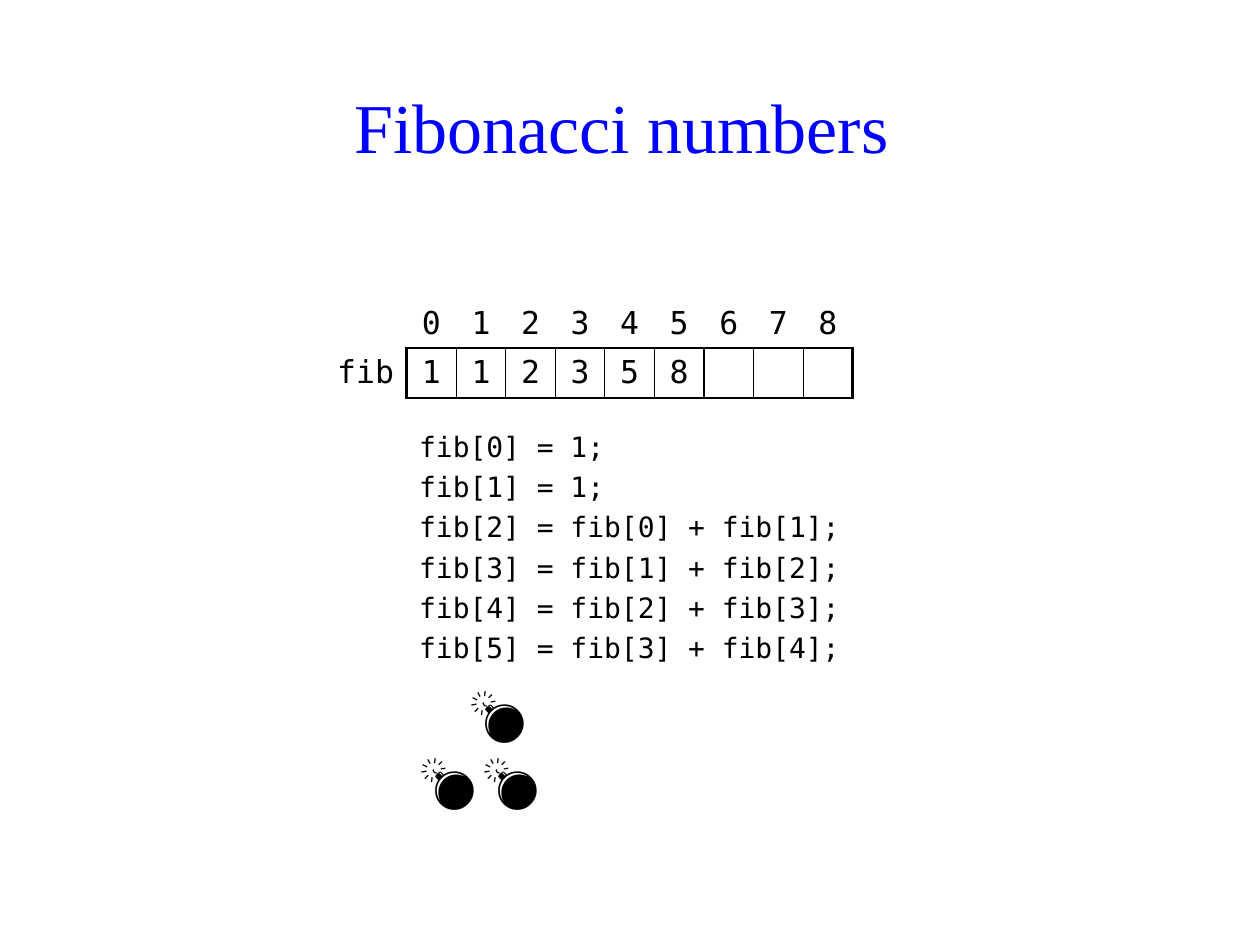
from lxml import etree
from pptx import Presentation
from pptx import util as u
from pptx.dml.color import RGBColor
from pptx.enum import text
from pptx.oxml import ns

COLORS = {"title": "0000FF", "ink": "000000"}
MONO = "DejaVu Sans Mono"
SERIF = "Times New Roman"
BOMB = "💣"
FIB_VALUES = [1, 1, 2, 3, 5, 8]
CELL_COUNT = 9
THICK, THIN = 1.5, 0.75


def add_run(paragraph, words, size, font=MONO, color="ink"):
    run = paragraph.add_run()
    run.text = words
    run.font.size = u.Pt(size)
    run.font.name = font
    run.font.color.rgb = RGBColor.from_string(COLORS[color])


def add_text_frame(slide, box, anchor):
    frame = slide.shapes.add_textbox(*map(u.Pt, box)).text_frame
    frame.word_wrap = True
    frame.vertical_anchor = anchor
    return frame


def add_title(slide, box):
    frame = add_text_frame(slide, box, text.MSO_ANCHOR.MIDDLE)
    paragraph = frame.paragraphs[0]
    paragraph.alignment = text.PP_ALIGN.CENTER
    add_run(paragraph, "Fibonacci numbers ", 40, SERIF, "title")


def set_borders(cell, left=0, right=0, top=0, bottom=0):
    """Draw the given edge widths; a width of zero means no line."""
    properties = cell._tc.get_or_add_tcPr()
    for tag, width in (("lnL", left), ("lnR", right), ("lnT", top), ("lnB", bottom)):
        line = etree.SubElement(properties, ns.qn(f"a:{tag}"), w=str(u.Pt(width)))
        if width:
            fill = etree.SubElement(line, ns.qn("a:solidFill"))
            etree.SubElement(fill, ns.qn("a:srgbClr"), val=COLORS["ink"])
        else:
            etree.SubElement(line, ns.qn("a:noFill"))


def fill_cell(cell, words, alignment, **borders):
    set_borders(cell, **borders)
    cell.fill.background()
    cell.margin_top = cell.margin_bottom = 0
    cell.vertical_anchor = text.MSO_ANCHOR.MIDDLE
    paragraph = cell.text_frame.paragraphs[0]
    paragraph.alignment = alignment
    paragraph.font.size = u.Pt(18)
    if words:
        add_run(paragraph, words, 18)


def add_array_table(slide, box):
    left, top, width, height = box
    table = slide.shapes.add_table(2, CELL_COUNT + 1, *map(u.Pt, box)).table
    table.first_row = table.horz_banding = False
    # The label column is as wide as two array cells
    unit = width / (CELL_COUNT + 2)
    for index, column in enumerate(table.columns):
        column.width = u.Pt(unit if index else 2 * unit)
    for row in table.rows:
        row.height = u.Pt(height / 2)

    # Label column
    fill_cell(table.cell(0, 0), "", text.PP_ALIGN.RIGHT)
    fill_cell(table.cell(1, 0), "fib", text.PP_ALIGN.RIGHT, right=THICK)

    # Indices above, values below
    center = text.PP_ALIGN.CENTER
    for index in range(CELL_COUNT):
        value = str(FIB_VALUES[index]) if index < len(FIB_VALUES) else ""
        fill_cell(table.cell(0, index + 1), str(index), center, bottom=THICK)
        fill_cell(table.cell(1, index + 1), value, center,
                  left=THIN if index else THICK,
                  right=THIN if index < CELL_COUNT - 1 else THICK,
                  top=THICK, bottom=THICK)


def add_code(slide, box):
    frame = add_text_frame(slide, box, text.MSO_ANCHOR.TOP)
    paragraph = frame.paragraphs[0]
    for index in range(len(FIB_VALUES)):
        if index:
            paragraph = frame.add_paragraph()
            paragraph.space_before = u.Pt(3.75)
        value = "1" if index < 2 else f"fib[{index - 2}] + fib[{index - 1}]"
        add_run(paragraph, f"fib[{index}] = {value};", 16)

    # Bombs: one indented, then two set apart by a tab stop
    paragraph = frame.add_paragraph()
    paragraph.space_before = u.Pt(7.5)
    properties = paragraph._p.get_or_add_pPr()
    properties.set("marL", "0")
    properties.set("indent", str(u.Pt(28.9)))
    tabs = etree.SubElement(properties, ns.qn("a:tabLst"))
    etree.SubElement(tabs, ns.qn("a:tab"), pos=str(u.Pt(104.6)), algn="l")
    add_run(paragraph, BOMB, 32)
    paragraph.add_line_break()
    add_run(paragraph, f"{BOMB}\t{BOMB}", 32)


def main():
    presentation = Presentation()
    presentation.slide_width = u.Pt(720)
    presentation.slide_height = u.Pt(540)
    slide = presentation.slides.add_slide(presentation.slide_layouts[6])
    add_title(slide, (34, 43.2, 652, 56.7))
    add_code(slide, (232.5, 242, 255, 184.5))
    add_array_table(slide, (175.7, 170.6, 311.8, 56.7))
    presentation.save("out.pptx")


if __name__ == "__main__":
    main()
